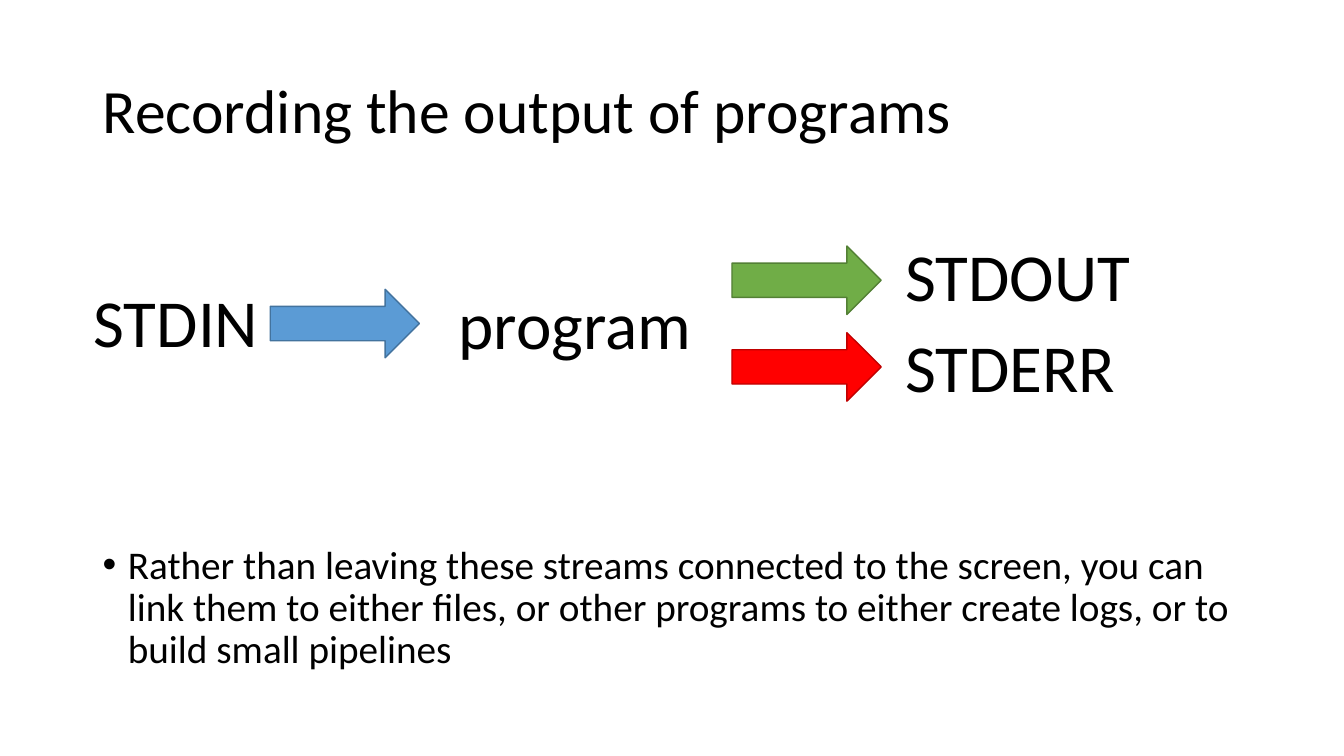
from dataclasses import dataclass

from lxml.etree import SubElement
from pptx import Presentation
from pptx.dml.color import RGBColor
from pptx.enum.shapes import MSO_SHAPE
from pptx.enum.text import MSO_ANCHOR, PP_ALIGN
from pptx.oxml.ns import qn
from pptx.util import Inches, Pt


@dataclass(frozen=True)
class Theme:
    font: str = "Calibri"
    text: str = "000000"
    title_size: int = 44
    label_size: int = 48
    body_size: int = 28
    # Each arrow has a fill and an outline colour.
    stdin: tuple = ("5B9BD5", "43739E")
    stdout: tuple = ("70AD47", "538035")
    stderr: tuple = ("FF0000", "C00000")


THEME = Theme()
SLIDE_WIDTH, SLIDE_HEIGHT = 13.33, 7.5
MARGIN = 0.92
CONTENT_WIDTH = SLIDE_WIDTH - 2 * MARGIN
ARROW_WIDTH, ARROW_HEIGHT = 1.48, 0.68
LABEL_HEIGHT = 0.91


def place(shape, left, top, width, height):
    shape.left, shape.top = Inches(left), Inches(top)
    shape.width, shape.height = Inches(width), Inches(height)


def add_bullet(paragraph, indent):
    properties = paragraph._p.get_or_add_pPr()
    properties.set("marL", str(Inches(indent)))
    properties.set("indent", str(-Inches(indent)))
    SubElement(properties, qn("a:buFont")).set("typeface", "Arial")
    SubElement(properties, qn("a:buChar")).set("char", "•")


def write_text(shape, text, *, size, wrap=True, anchor=MSO_ANCHOR.TOP,
               line_spacing=None, bullet_indent=None):
    frame = shape.text_frame
    frame.word_wrap = wrap
    frame.vertical_anchor = anchor
    paragraph = frame.paragraphs[0]
    paragraph.text = text
    if bullet_indent:
        add_bullet(paragraph, bullet_indent)
    paragraph.alignment = PP_ALIGN.LEFT
    paragraph.line_spacing = line_spacing
    font = paragraph.font
    font.name, font.size = THEME.font, Pt(size)
    font.color.rgb = RGBColor.from_string(THEME.text)


def add_title(slide, text, box):
    title = slide.shapes.title
    place(title, *box)
    write_text(title, text, size=THEME.title_size, anchor=MSO_ANCHOR.MIDDLE,
               line_spacing=0.9)


def add_label(shapes, text, left, top, width):
    label = shapes.add_textbox(*map(Inches, (left, top, width, LABEL_HEIGHT)))
    write_text(label, text, size=THEME.label_size, wrap=False)


def add_arrow(shapes, colours, left, top):
    arrow = shapes.add_shape(MSO_SHAPE.RIGHT_ARROW, *map(
        Inches, (left, top, ARROW_WIDTH, ARROW_HEIGHT)))
    fill, outline = map(RGBColor.from_string, colours)
    arrow.shadow.inherit = False
    arrow.fill.solid()
    arrow.fill.fore_color.rgb = fill
    arrow.line.color.rgb = outline
    arrow.line.width = Pt(1)


def add_stream_diagram(slide, left, top):
    """Draw one input stream entering a program and two output streams leaving."""
    shapes = slide.shapes.add_group_shape().shapes
    add_label(shapes, "STDIN", left, top + 0.45, 1.85)
    add_arrow(shapes, THEME.stdin, left + 1.85, top + 0.59)
    add_label(shapes, "program", left + 3.62, top + 0.47, 2.54)
    outputs = (("STDOUT", THEME.stdout, 2.45), ("STDERR", THEME.stderr, 2.31))
    for row, (name, colours, width) in enumerate(outputs):
        add_arrow(shapes, colours, left + 6.43, top + 0.16 + row * 0.86)
        add_label(shapes, name, left + 8.05, top + row * 0.9, width)


def add_body(slide, text, box):
    body = slide.shapes.add_textbox(*map(Inches, box))
    write_text(body, text, size=THEME.body_size, line_spacing=0.9,
               bullet_indent=0.25)


def main():
    presentation = Presentation()
    presentation.slide_width = Inches(SLIDE_WIDTH)
    presentation.slide_height = Inches(SLIDE_HEIGHT)
    slide = presentation.slides.add_slide(
        presentation.slide_layouts.get_by_name("Title Only"))
    add_title(slide, "Recording the output of programs",
              (MARGIN, 0.4, CONTENT_WIDTH, 1.45))
    add_stream_diagram(slide, 0.83, 2.28)
    add_body(slide, "Rather than leaving these streams connected to the screen, "
             "you can link them to either files, or other programs to either "
             "create logs, or to build small pipelines",
             (MARGIN, 5.36, CONTENT_WIDTH, 1.74))
    presentation.save("out.pptx")


if __name__ == "__main__":
    main()
